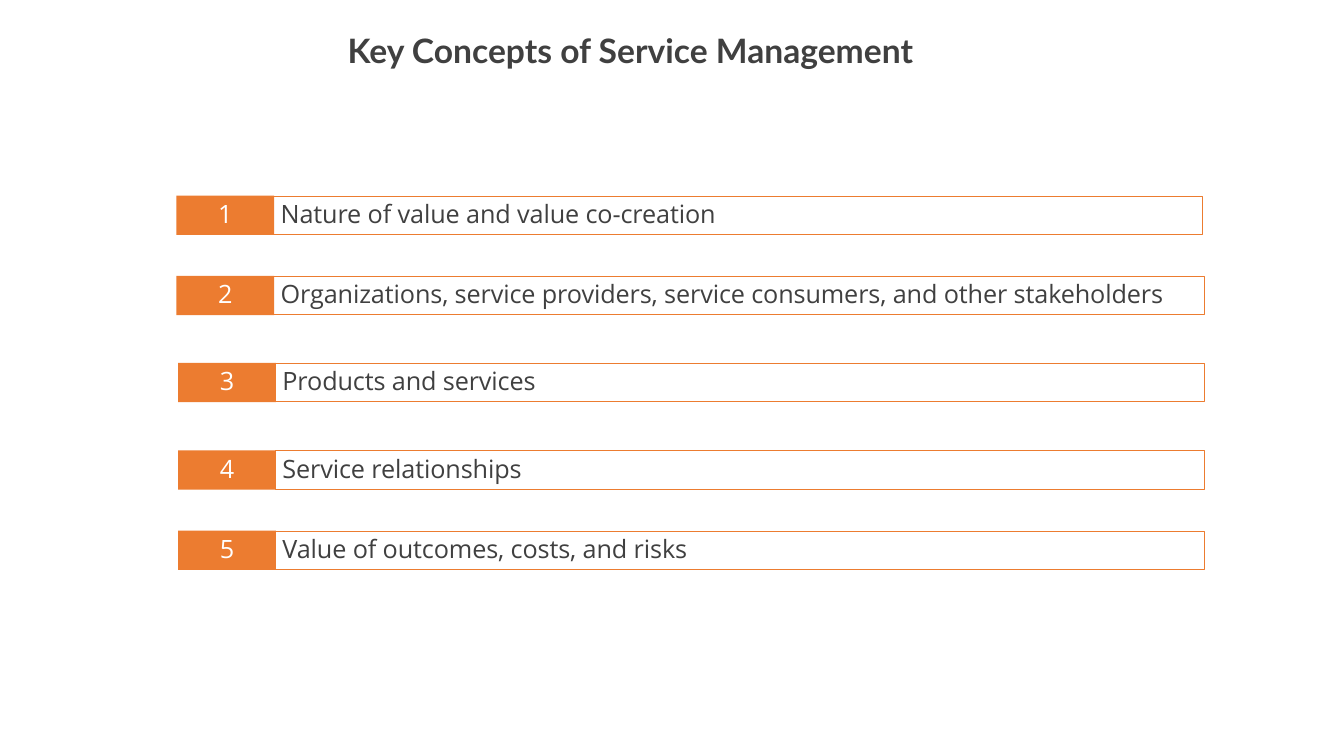
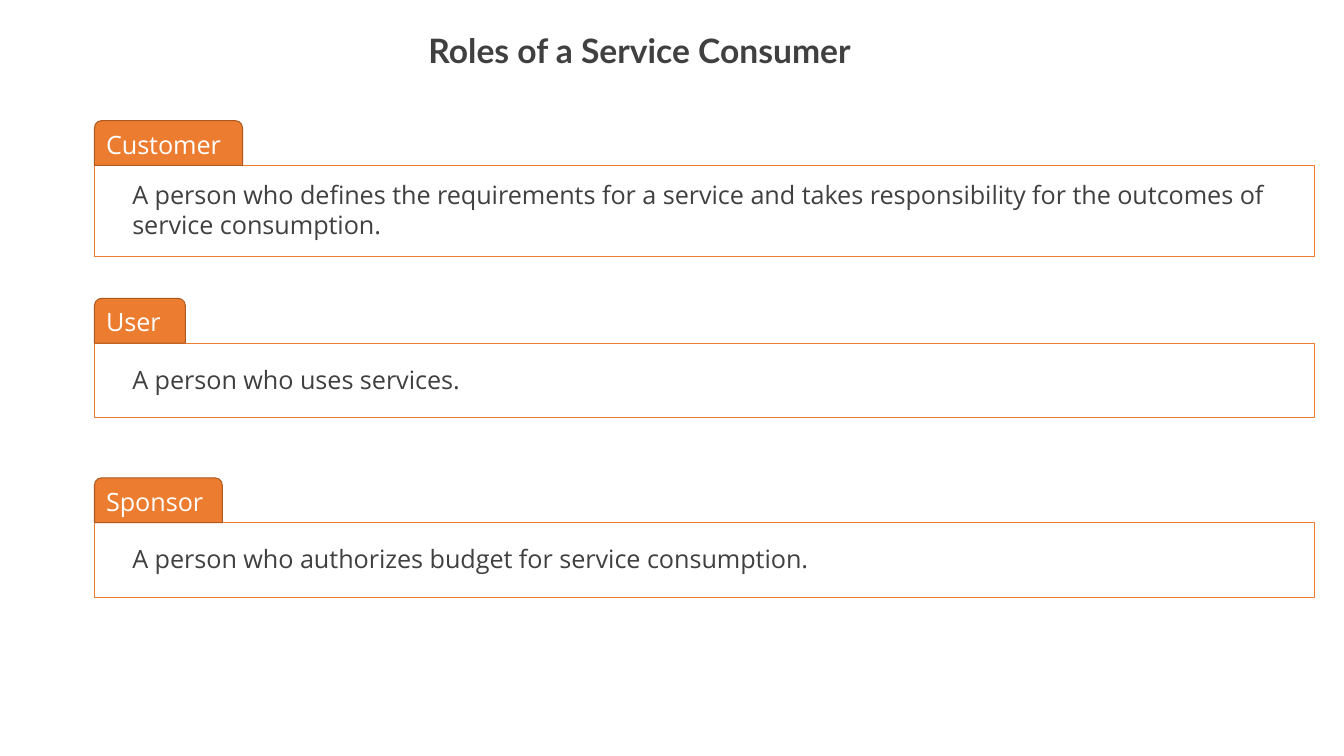
from pptx import Presentation
from pptx.dml.color import RGBColor
from pptx.enum.shapes import MSO_SHAPE
from pptx.enum.text import MSO_ANCHOR, MSO_AUTO_SIZE, PP_ALIGN
from pptx.util import Pt

COLOURS = {"orange": "EC7C30", "rust": "AD5A20", "ink": "404040", "white": "FFFFFF"}
TITLE_FONT = "Lato"
BODY_FONT = "Open Sans"
TITLE_ONLY = 5


class PageBuilder:
    """Holds the shared style and the page being built."""

    def __init__(self, deck):
        self.deck = deck
        self.page = None

    def colour(self, name):
        return RGBColor.from_string(COLOURS[name])

    def new_page(self, title, left, width):
        layout = self.deck.slide_layouts[TITLE_ONLY]
        self.page = self.deck.slides.add_slide(layout)
        box = self.page.shapes.title
        box.left, box.top, box.width, box.height = Pt(left), Pt(27.3), Pt(width), Pt(40)
        self.set_text(box, title, "ink", (1, 1), size=32, font=TITLE_FONT, bold=True)

    def set_text(self, box, text, colour, inset, size=24, font=BODY_FONT,
                 bold=False, align=PP_ALIGN.LEFT, spacing=0):
        """Inset is the (left, top) margin; spacing is in hundredths of a point."""
        frame = box.text_frame
        frame.text = text
        frame.word_wrap = True
        frame.auto_size = MSO_AUTO_SIZE.NONE
        frame.vertical_anchor = MSO_ANCHOR.TOP
        frame.margin_left, frame.margin_top = Pt(inset[0]), Pt(inset[1])
        frame.margin_right = frame.margin_bottom = 0
        para = frame.paragraphs[0]
        para.alignment = align
        for span in para.runs:
            span.font.name = font
            span.font.size = Pt(size)
            span.font.bold = bold
            span.font.color.rgb = self.colour(colour)
            if spacing:
                span._r.get_or_add_rPr().set("spc", str(spacing))

    def shape(self, kind, left, top, width, height, fill=None, line=None, weight=0.96):
        box = self.page.shapes.add_shape(kind, Pt(left), Pt(top), Pt(width), Pt(height))
        box.shadow.inherit = False
        if fill:
            box.fill.solid()
            box.fill.fore_color.rgb = self.colour(fill)
        else:
            box.fill.background()
        if line:
            box.line.color.rgb = self.colour(line)
            box.line.width = Pt(weight)
        else:
            box.line.fill.background()
        return box

    def numbered_row(self, number, text, left, top, right):
        badge_width = 93
        start = left + badge_width - 0.7
        frame = self.shape(MSO_SHAPE.RECTANGLE, start, top, right - start, 36.5,
                           line="orange", weight=0.72)
        self.set_text(frame, text, "ink", (7, 2), spacing=-10)
        badge = self.shape(MSO_SHAPE.RECTANGLE, left, top - 0.3, badge_width, 37.4,
                           fill="orange")
        self.set_text(badge, str(number), "white", (0, 2.5), align=PP_ALIGN.CENTER)

    def tabbed_panel(self, label, text, top, height, tab_width, text_top):
        left, tab_height, radius = 90, 42.6, 6.8
        panel = self.shape(MSO_SHAPE.RECTANGLE, left, top, 1162, height, line="orange")
        self.set_text(panel, text, "ink", (36, text_top), spacing=-6)
        tab = self.shape(MSO_SHAPE.ROUND_2_SAME_RECTANGLE, left, top - tab_height,
                         tab_width, tab_height, fill="orange", line="rust")
        tab.adjustments[0] = radius / tab_height
        self.set_text(tab, label, "white", (9, 6), spacing=-6)


def main():
    deck = Presentation()
    deck.slide_width, deck.slide_height = Pt(1280), Pt(720)
    builder = PageBuilder(deck)

    # Key concepts: text, left, top, right
    builder.new_page("Key Concepts of Service Management", 330, 621)
    concepts = [
        ("Nature of value and value co-creation", 168, 186.7, 1145),
        ("Organizations, service providers, service consumers, and other stakeholders",
         168, 263, 1147),
        ("Products and services", 169.7, 346, 1147),
        ("Service relationships", 169.7, 429.3, 1147),
        ("Value of outcomes, costs, and risks", 169.7, 505.7, 1147),
    ]
    for number, concept in enumerate(concepts, start=1):
        builder.numbered_row(number, *concept)

    # Consumer roles: label, text, top, height, tab width, text inset
    builder.new_page("Roles of a Service Consumer", 407, 467)
    roles = [
        ("Customer", "A person who defines the requirements for a service and takes "
         "responsibility for the outcomes of service consumption.", 157.5, 87, 141, 13.2),
        ("User", "A person who uses services.", 326.7, 71.3, 86.5, 19.9),
        ("Sponsor", "A person who authorizes budget for service consumption.",
         497.7, 71.3, 121.7, 19.9),
    ]
    for role in roles:
        builder.tabbed_panel(*role)

    deck.save("out.pptx")


if __name__ == "__main__":
    main()
